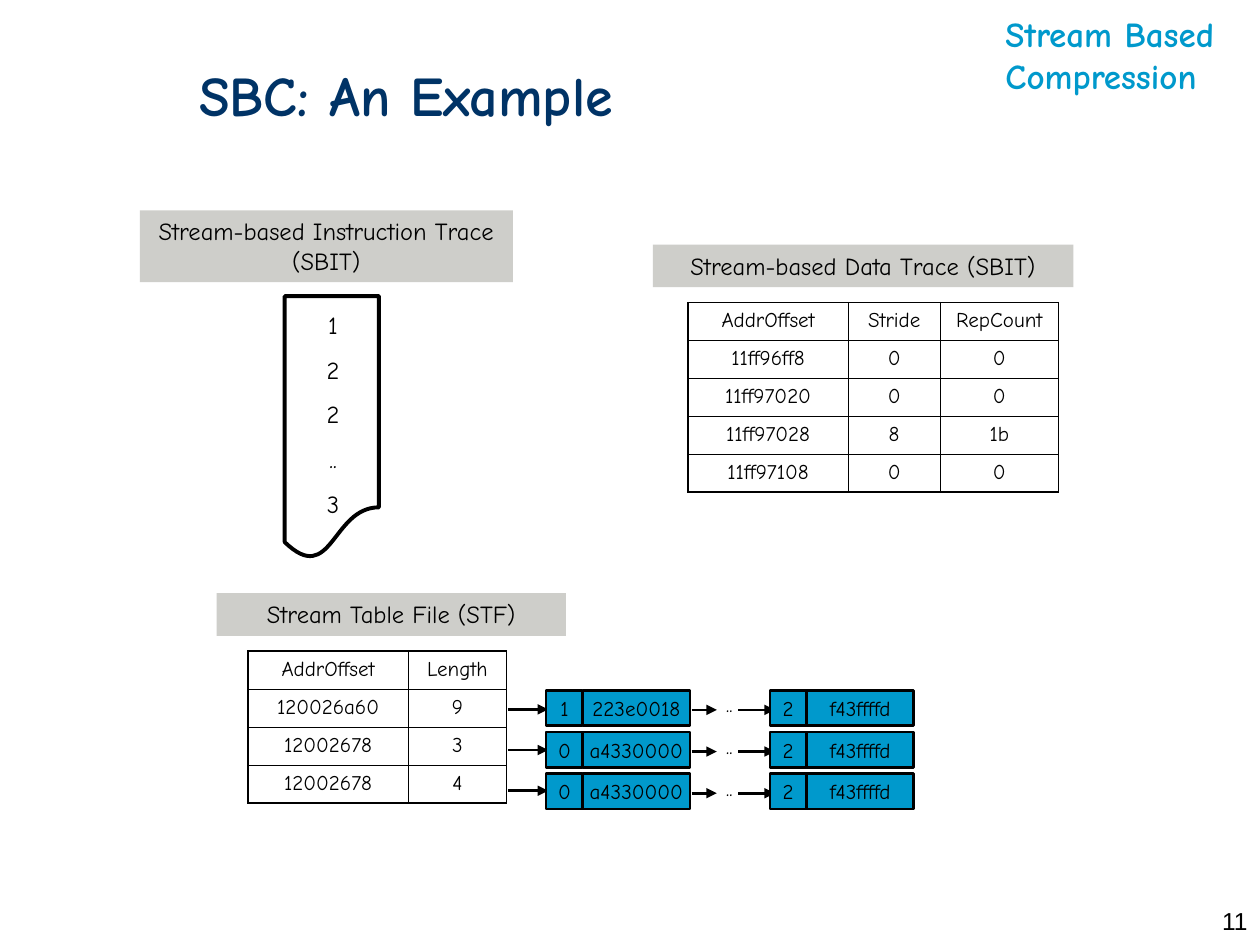
from lxml import etree
from pptx import Presentation
from pptx.dml.color import RGBColor
from pptx.enum.shapes import MSO_CONNECTOR, MSO_SHAPE
from pptx.enum.text import MSO_ANCHOR, MSO_AUTO_SIZE, PP_ALIGN
from pptx.oxml.ns import qn
from pptx.util import Cm, Pt

LEFT, CENTER, RIGHT = PP_ALIGN.LEFT, PP_ALIGN.CENTER, PP_ALIGN.RIGHT
TOP, MIDDLE = MSO_ANCHOR.TOP, MSO_ANCHOR.MIDDLE
NO_FIT, GROW = MSO_AUTO_SIZE.NONE, MSO_AUTO_SIZE.SHAPE_TO_FIT_TEXT
RECT, DOCUMENT = MSO_SHAPE.RECTANGLE, MSO_SHAPE.FLOWCHART_DOCUMENT
STRAIGHT = MSO_CONNECTOR.STRAIGHT

FONT = "Comic Neue"
BLACK, NAVY, BLUE, GREY = "000000", "003366", "0099CC", "CECECA"
ROW_H = 0.76
THIN, THICK = 0.45, 1.08


def rgb(color):
    return RGBColor.from_string(color)


def write(tf, lines, size, color=BLACK, bold=False, align=CENTER, before=0, font=FONT):
    for i, line in enumerate(lines):
        p = tf.paragraphs[0] if i == 0 else tf.add_paragraph()
        p.alignment = align
        p.space_before = Pt(before)
        r = p.add_run()
        r.text = line
        r.font.name = font
        r.font.size = Pt(size)
        r.font.bold = bold
        r.font.color.rgb = rgb(color)


def set_frame(tf, anchor=TOP, fit=NO_FIT, wrap=True):
    tf.word_wrap = wrap
    tf.auto_size = fit
    tf.vertical_anchor = anchor


def add_text(s, box, lines, size, anchor=TOP, fit=NO_FIT, **style):
    sp = s.shapes.add_textbox(*map(Cm, box))
    set_frame(sp.text_frame, anchor, fit)
    write(sp.text_frame, lines, size, **style)
    return sp


def add_box(s, kind, box, fill=None, line_width=None):
    sp = s.shapes.add_shape(kind, *map(Cm, box))
    sp.shadow.inherit = False
    if fill:
        sp.fill.solid()
        sp.fill.fore_color.rgb = rgb(fill)
    else:
        sp.fill.background()
    if line_width:
        sp.line.color.rgb = rgb(BLACK)
        sp.line.width = Pt(line_width)
    else:
        sp.line.fill.background()
    return sp


def add_arrow(s, x1, x2, y):
    cx = s.shapes.add_connector(STRAIGHT, Cm(x1), Cm(y), Cm(x2), Cm(y))
    cx.line.color.rgb = rgb(BLACK)
    cx.line.width = Pt(1.5)
    etree.SubElement(cx.line._get_or_add_ln(), qn("a:tailEnd"), type="triangle")
    etree.SubElement(cx._element.spPr, qn("a:effectLst"))


def set_borders(cell, widths):
    tc_pr = cell._tc.get_or_add_tcPr()
    for side, width in zip(("L", "R", "T", "B"), widths):
        ln = etree.SubElement(tc_pr, qn(f"a:ln{side}"), w=str(Pt(width)))
        fill = etree.SubElement(ln, qn("a:solidFill"))
        etree.SubElement(fill, qn("a:srgbClr"), val=BLACK)


def add_header(s, title_box, topic_box):
    title = s.shapes.title
    title.left, title.top, title.width, title.height = map(Cm, title_box)
    set_frame(title.text_frame, MIDDLE)
    write(title.text_frame, ["SBC: An Example"], 32, NAVY, True, LEFT)
    add_text(s, topic_box, ["Stream Based Compression"], 20, MIDDLE,
             color=BLUE, bold=True, align=LEFT)


def add_label(s, box, text):
    sp = add_box(s, RECT, box, GREY)
    set_frame(sp.text_frame, fit=GROW)
    write(sp.text_frame, [text], 14, before=8.8)


def add_instruction_trace(s, x, y, w, h, entries):
    add_box(s, DOCUMENT, (x, y, w, h), line_width=2.25)
    add_text(s, (x + 0.1, y + 0.15, w - 0.15, 4.47), entries, 14, fit=GROW, before=8.8)


def add_trace_table(s, x, y, col_widths, rows):
    n_rows, n_cols = len(rows), len(col_widths)
    frame = s.shapes.add_table(n_rows, n_cols, Cm(x), Cm(y),
                               Cm(sum(col_widths)), Cm(n_rows * ROW_H))
    table = frame.table
    table.first_row = table.horz_banding = False
    for col, width in zip(table.columns, col_widths):
        col.width = Cm(width)
    for i, values in enumerate(rows):
        table.rows[i].height = Cm(ROW_H)
        for j, value in enumerate(values):
            cell = table.cell(i, j)
            outer = (j == 0, j == n_cols - 1, i == 0, i == n_rows - 1)
            set_borders(cell, [THICK if edge else THIN for edge in outer])
            cell.fill.background()
            write(cell.text_frame, [value], 12)


def add_node(s, x, y, values):
    for value, width in zip(values, (0.74, 2.16)):
        sp = add_box(s, RECT, (x, y, width, 0.71), BLUE, 1.5)
        set_frame(sp.text_frame, MIDDLE, wrap=False)
        write(sp.text_frame, [value], 12)
        x += width


def add_stream(s, x, y, entry_y, first, last):
    middle = y + 0.39
    add_arrow(s, x, x + 0.81, entry_y)
    add_node(s, x + 0.77, y, first)
    add_arrow(s, x + 3.7, x + 4.21, middle)
    dots = add_text(s, (x + 4.11, y + 0.03, 0.71, 0.51), [".."], 12, fit=GROW, before=7.5)
    tf = dots.text_frame
    tf.margin_left = tf.margin_right = tf.margin_top = tf.margin_bottom = 0
    add_arrow(s, x + 4.64, x + 5.38, middle)
    add_node(s, x + 5.28, y, last)


def main():
    prs = Presentation()
    prs.slide_width, prs.slide_height = Cm(25.4), Cm(19.05)
    s = prs.slides.add_slide(prs.slide_layouts[5])

    add_header(s, (3.76, 0.84, 21.64, 2.11), (20.02, 0.33, 5.38, 1.55))

    add_label(s, (2.82, 4.24, 7.52, 1.45), "Stream-based Instruction Trace (SBIT)")
    add_instruction_trace(s, 5.74, 5.97, 1.9, 5.31, ["1", "2", "2", "..", "3"])

    add_label(s, (13.16, 4.93, 8.48, 0.86), "Stream-based Data Trace (SBIT)")
    add_trace_table(s, 13.87, 6.1, (3.23, 1.85, 2.39), [
        ("AddrOffset", "Stride", "RepCount"),
        ("11ff96ff8", "0", "0"),
        ("11ff97020", "0", "0"),
        ("11ff97028", "8", "1b"),
        ("11ff97108", "0", "0"),
    ])

    add_label(s, (4.37, 11.96, 7.04, 0.86), "Stream Table File (STF)")
    add_trace_table(s, 5, 13.13, (3.23, 1.98), [
        ("AddrOffset", "Length"),
        ("120026a60", "9"),
        ("12002678", "3"),
        ("12002678", "4"),
    ])
    firsts = [("1", "223e0018"), ("0", "a4330000"), ("0", "a4330000")]
    for i, first in enumerate(firsts):
        add_stream(s, 10.24, 13.92 + i * 0.84, 14.3 + i * 0.82, first, ("2", "f43ffffd"))

    add_text(s, (20.12, 18.14, 5.28, 0.91), ["11"], 14, align=RIGHT, before=8.8, font="Arial")
    prs.save("out.pptx")


if __name__ == "__main__":
    main()
